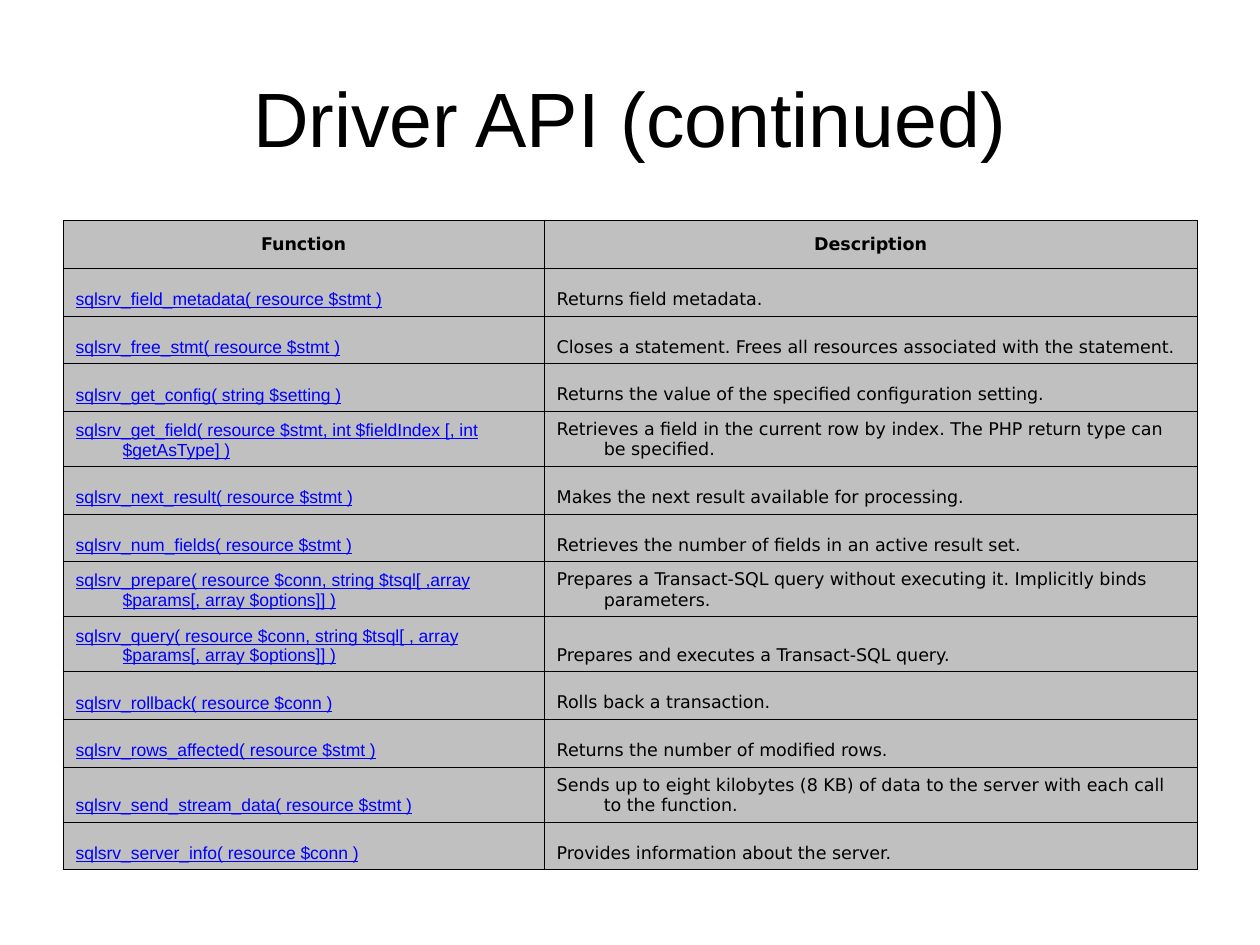
from lxml import etree
from pptx import Presentation
from pptx import util as u
from pptx.dml.color import RGBColor
from pptx.enum import text
from pptx.oxml.ns import qn

TITLE = "Driver API (continued)"
HEADER = ("Function", "Description")
FUNCTIONS = [
    ("sqlsrv_field_metadata( resource $stmt )", "Returns field metadata."),
    ("sqlsrv_free_stmt( resource $stmt )",
     "Closes a statement. Frees all resources associated with the statement."),
    ("sqlsrv_get_config( string $setting )",
     "Returns the value of the specified configuration setting."),
    ("sqlsrv_get_field( resource $stmt, int $fieldIndex [, int $getAsType] )",
     "Retrieves a field in the current row by index. The PHP return type can be specified."),
    ("sqlsrv_next_result( resource $stmt )",
     "Makes the next result available for processing."),
    ("sqlsrv_num_fields( resource $stmt )",
     "Retrieves the number of fields in an active result set."),
    ("sqlsrv_prepare( resource $conn, string $tsql[ ,array $params[, array $options]] )",
     "Prepares a Transact-SQL query without executing it. Implicitly binds parameters."),
    ("sqlsrv_query( resource $conn, string $tsql[ , array $params[, array $options]] )",
     "Prepares and executes a Transact-SQL query."),
    ("sqlsrv_rollback( resource $conn )", "Rolls back a transaction."),
    ("sqlsrv_rows_affected( resource $stmt )", "Returns the number of modified rows."),
    ("sqlsrv_send_stream_data( resource $stmt )",
     "Sends up to eight kilobytes (8 KB) of data to the server with each call to the function."),
    ("sqlsrv_server_info( resource $conn )", "Provides information about the server."),
]

BLACK, BLUE, GREY = "000000", "0000FF", "C0C0C0"
LEFT, WIDTH = 1.27, 22.86
COLUMN_WIDTHS = (9.7, 13.16)
ONE_LINE, TWO_LINES = 0.96, 1.11
LONGEST_SINGLE_LINE = 72
HANGING_INDENT = 0.95


def color(hex_string):
    return RGBColor.from_string(hex_string)


def format_font(paragraph, name, size, hex_string, bold=False, underline=False):
    for run in paragraph.runs:
        font = run.font
        font.name, font.size = name, u.Pt(size)
        font.bold, font.underline = bold, underline
        font.color.rgb = color(hex_string)


def add_borders(cell):
    properties = cell._tc.get_or_add_tcPr()
    for side in ("lnL", "lnR", "lnT", "lnB"):
        line = etree.SubElement(properties, qn(f"a:{side}"), w=str(u.Pt(0.45)))
        fill = etree.SubElement(line, qn("a:solidFill"))
        etree.SubElement(fill, qn("a:srgbClr"), val=BLACK)


def fill_cell(cell, content, is_header, is_function):
    add_borders(cell)
    cell.fill.solid()
    cell.fill.fore_color.rgb = color(GREY)
    cell.vertical_anchor = text.MSO_ANCHOR.MIDDLE if is_header else text.MSO_ANCHOR.BOTTOM
    cell.text_frame.text = content
    paragraph = cell.text_frame.paragraphs[0]
    paragraph.alignment = text.PP_ALIGN.CENTER if is_header else text.PP_ALIGN.LEFT
    properties = paragraph._p.get_or_add_pPr()
    properties.set("marL", str(u.Cm(HANGING_INDENT)))
    properties.set("indent", str(-u.Cm(HANGING_INDENT)))
    if is_function and not is_header:
        format_font(paragraph, "Arial", 10, BLUE, underline=True)
    else:
        format_font(paragraph, "DejaVu Sans", 10, BLACK, bold=is_header)


def add_title(slide):
    title = slide.shapes.title
    title.left, title.top = u.Cm(LEFT), u.Cm(0.76)
    title.width, title.height = u.Cm(WIDTH), u.Cm(3.18)
    title.text_frame.text = TITLE
    title.text_frame.vertical_anchor = text.MSO_ANCHOR.MIDDLE
    paragraph = title.text_frame.paragraphs[0]
    paragraph.alignment = text.PP_ALIGN.CENTER
    format_font(paragraph, "Arial", 44, BLACK)


def add_function_table(slide):
    rows = [HEADER, *FUNCTIONS]
    heights = [TWO_LINES if max(map(len, row)) > LONGEST_SINGLE_LINE else ONE_LINE
               for row in rows]
    table = slide.shapes.add_table(len(rows), len(HEADER), u.Cm(LEFT), u.Cm(4.45),
                                   u.Cm(WIDTH), u.Cm(sum(heights))).table
    table.horz_banding = False
    for column, width in zip(table.columns, COLUMN_WIDTHS):
        column.width = u.Cm(width)
    for r, (row, height) in enumerate(zip(rows, heights)):
        table.rows[r].height = u.Cm(height)
        for c, content in enumerate(row):
            fill_cell(table.cell(r, c), content, r == 0, c == 0)


def main():
    presentation = Presentation()
    presentation.slide_width, presentation.slide_height = u.Cm(25.4), u.Cm(19.05)
    slide = presentation.slides.add_slide(presentation.slide_layouts[5])
    add_title(slide)
    add_function_table(slide)
    presentation.save("out.pptx")


if __name__ == "__main__":
    main()
